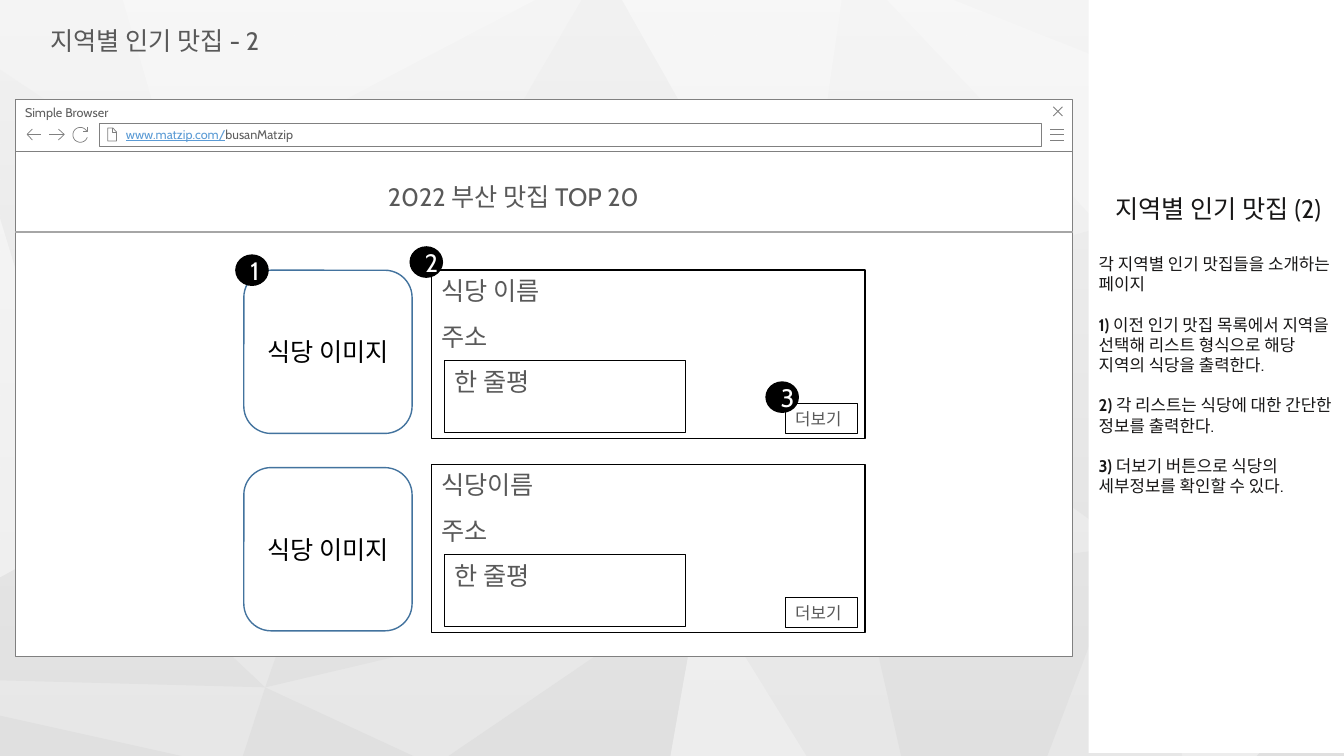
import math
from dataclasses import dataclass

from lxml import etree
from pptx import Presentation
from pptx.dml.color import RGBColor
from pptx.enum.shapes import MSO_CONNECTOR, MSO_SHAPE
from pptx.enum.text import MSO_ANCHOR, MSO_AUTO_SIZE, PP_ALIGN
from pptx.oxml.ns import qn
from pptx.util import Pt

RECTANGLE = MSO_SHAPE.RECTANGLE
ROUNDED = MSO_SHAPE.ROUNDED_RECTANGLE
OVAL = MSO_SHAPE.OVAL
STRAIGHT = MSO_CONNECTOR.STRAIGHT
TOP, MIDDLE = MSO_ANCHOR.TOP, MSO_ANCHOR.MIDDLE
LEFT, CENTER = PP_ALIGN.LEFT, PP_ALIGN.CENTER
NO_AUTOFIT = MSO_AUTO_SIZE.NONE

FONT = "Cabin"
COLORS = {
    "white": "FFFFFF", "black": "000000", "base": "E7E7E7", "light": "EDEDED",
    "dark": "E0E0E0", "frame": "808080", "divider": "A6A6A6", "image": "43739E",
    "text": "595959", "browser": "5F5F5F", "link": "5B9BD5", "panel": "181717",
}
WIDTH, HEIGHT = 960, 540
Points = list[tuple[float, float]]


@dataclass
class Box:
    left: float
    top: float
    width: float
    height: float
    text: str = ""
    size: float = 18
    color: str = "text"
    fill: str = ""
    line: str = ""
    line_width: float = 1
    align: PP_ALIGN = LEFT
    anchor: MSO_ANCHOR = TOP
    geometry: MSO_SHAPE = RECTANGLE
    left_inset: float = 7.2


@dataclass
class Facet:
    color: str
    points: Points


@dataclass
class Icon:
    strokes: list[Points]
    line_width: float = 0.5


@dataclass
class Note:
    label: str
    text: str


FACETS = [
    Facet("light", [(500.4, 417.6), (478.8, 540), (576, 540)]),
    Facet("light", [(805, 390.2), (844.6, 540), (897.8, 540), (960, 468.7), (960, 455.8)]),
    Facet("light", [(0, 155.5), (0, 412.6), (67, 375.8)]),
    Facet("light", [(633.6, 0), (787.7, 162.7), (960, 115.9), (960, 110.9), (681.1, 0)]),
    Facet("light", [(87.8, 0), (126.7, 133.9), (382.3, 0)]),
    Facet("light", [(444.2, 0), (569.5, 221), (601.2, 0)]),
    Facet("dark", [(67, 375.8), (0, 412.6), (0, 486), (189.4, 491)]),
    Facet("dark", [(189.4, 491), (173.5, 540), (295.2, 540)]),
    Facet("dark", [(960, 469.4), (897.8, 540), (960, 540)]),
    Facet("dark", [(0, 511.2), (0, 540), (129.6, 540)]),
    Facet("dark", [(805, 390.2), (615.6, 415.4), (643.7, 540), (748.1, 540)]),
    Facet("dark", [(500.4, 417.6), (320.4, 540), (478.8, 540)]),
    Facet("dark", [(960, 115.9), (569.5, 221), (805, 390.2), (960, 132.5)]),
    Facet("dark", [(500.4, 417.6), (278.6, 235.4), (189.4, 491)]),
    Facet("dark", [(0, 49.7), (0, 155.5), (67, 375.8), (126.7, 133.9)]),
    Facet("dark", [(415.4, 0), (278.6, 235.4), (569.5, 221), (444.2, 0)]),
]
RELOAD_ARC = [
    (57.4 + 5.3 * math.cos(math.radians(angle)), 96.3 + 5.3 * math.sin(math.radians(angle)))
    for angle in range(20, 331, 10)
]
ICONS = [
    Icon([[(750.2, y), (760.3, y)] for y in (92.2, 96, 100)]),
    Icon([[(758.9, 76.3), (752.4, 82.8)], [(752.4, 76.3), (758.9, 82.8)]], 0.75),
    Icon([[(80.6, 91.4), (80.6, 94.3), (83.2, 94.3)],
          [(77, 91.4), (77, 100.8), (83.2, 100.8), (83.2, 94.3), (80.6, 91.4), (77, 91.4)]]),
    Icon([[(23.2, 100), (19.4, 96), (23.2, 92.2)], [(19.4, 96), (29.5, 96)]]),
    Icon([[(41.8, 92.2), (45.9, 96), (41.8, 100)], [(45.9, 96), (35.3, 96)]]),
    Icon([[(62.6, 90.7), (62.6, 93.6), (59, 93.6)], RELOAD_ARC]),
]
NOTES = [
    Note("", "각 지역별 인기 맛집들을 소개하는 페이지"),
    Note("1) ", "이전 인기 맛집 목록에서 지역을 선택해 리스트 형식으로 해당 지역의 식당을 출력한다."),
    Note("2) ", "각 리스트는 식당에 대한 간단한 정보를 출력한다."),
    Note("3) ", "더보기 버튼으로 식당의 세부정보를 확인할 수 있다."),
]
BROWSER = [
    Box(10.8, 108, 755.3, 360.7, fill="white", line="frame", line_width=0.5),
    Box(10.8, 71.3, 755.3, 36.7, "Simple Browser", 9, "browser", "white", "frame", 0.5),
]
ADDRESS_BAR = Box(71.3, 87.8, 672.5, 16.6, fill="white", line="frame", line_width=0.5,
                  anchor=MIDDLE, left_inset=18.7)
HEADING = Box(270, 126, 236.9, 28.8, "2022 부산 맛집 TOP 20")
RESTAURANTS = ["식당 이름", "식당이름"]
BADGES = [(168.5, 182.2), (293, 176.4), (547.2, 272.9)]


def rgb(name: str) -> RGBColor:
    return RGBColor.from_string(COLORS[name])


def set_font(font, size: float, color: str) -> None:
    font.name, font.size = FONT, Pt(size)
    font.color.rgb = rgb(color)


def place(shape, left: float, top: float, width: float, height: float) -> None:
    shape.left, shape.top = Pt(left), Pt(top)
    shape.width, shape.height = Pt(width), Pt(height)
    shape.element.getparent().append(shape.element)


def draw_box(slide, box: Box):
    frame = [Pt(value) for value in (box.left, box.top, box.width, box.height)]
    shape = slide.shapes.add_shape(box.geometry, *frame)
    shape.shadow.inherit = False
    for fill, color in ((shape.fill, box.fill), (shape.line.fill, box.line)):
        if color:
            fill.solid()
            fill.fore_color.rgb = rgb(color)
        else:
            fill.background()
    if box.line:
        shape.line.width = Pt(box.line_width)
    text_frame = shape.text_frame
    text_frame.word_wrap = True
    text_frame.vertical_anchor = box.anchor
    text_frame.margin_left = Pt(box.left_inset)
    paragraph = text_frame.paragraphs[0]
    paragraph.alignment = box.align
    if box.text:
        paragraph.text = box.text
        set_font(paragraph.font, box.size, box.color)
    return shape


def draw_outline(slide, strokes: list[Points], close: bool):
    lengths = [[(Pt(x), Pt(y)) for x, y in stroke] for stroke in strokes]
    builder = slide.shapes.build_freeform(*lengths[0][0], scale=1.0)
    for index, stroke in enumerate(lengths):
        if index:
            builder.move_to(*stroke[0])
        builder.add_line_segments(stroke[1:], close=close)
    shape = builder.convert_to_shape()
    shape.shadow.inherit = False
    return shape


def draw_background(slide) -> None:
    slide.background.fill.solid()
    slide.background.fill.fore_color.rgb = rgb("base")
    for facet in FACETS:
        shape = draw_outline(slide, [facet.points], True)
        shape.fill.solid()
        shape.fill.fore_color.rgb = rgb(facet.color)
        shape.line.fill.background()
    veil = draw_box(slide, Box(0, 0, WIDTH, HEIGHT))
    veil.fill.gradient()
    veil.fill.gradient_angle = 270
    for stop, opacity in zip(veil.fill.gradient_stops, (60000, 0)):
        stop.color.rgb = rgb("white")
    for color, opacity in zip(veil.element.spPr.iter(qn("a:srgbClr")), (60000, 0)):
        etree.SubElement(color, qn("a:alpha"), val=str(opacity))


def draw_title(slide) -> None:
    title = slide.shapes.title
    place(title, 28.8, 14.4, 178.6, 28.8)
    text_frame = title.text_frame
    text_frame.text = "지역별 인기 맛집 - 2"
    text_frame.word_wrap = False
    text_frame.auto_size = NO_AUTOFIT
    text_frame.vertical_anchor = TOP
    paragraph = text_frame.paragraphs[0]
    paragraph.alignment = LEFT
    set_font(paragraph.font, 18, "text")


def draw_browser(slide) -> None:
    for box in BROWSER:
        draw_box(slide, box)
    paragraph = draw_box(slide, ADDRESS_BAR).text_frame.paragraphs[0]
    for text, color in (("www.matzip.com/", "link"), ("busanMatzip", "browser")):
        run = paragraph.add_run()
        run.text = text
        set_font(run.font, 9, color)
        run.font.underline = color == "link"
    for icon in ICONS:
        shape = draw_outline(slide, icon.strokes, False)
        shape.fill.background()
        shape.line.color.rgb = rgb("frame")
        shape.line.width = Pt(icon.line_width)


def draw_panel(slide) -> None:
    panel = slide.placeholders[1]
    place(panel, 777.6, -2.2, 185, HEIGHT)
    panel.fill.solid()
    panel.fill.fore_color.rgb = rgb("white")
    text_frame = panel.text_frame
    text_frame.word_wrap = True
    text_frame.auto_size = NO_AUTOFIT
    text_frame.vertical_anchor = MIDDLE
    text_frame.margin_bottom = Pt(46.8)
    for index, note in enumerate([Note("", "지역별 인기 맛집 (2)"), *NOTES]):
        paragraph = text_frame.add_paragraph() if index else text_frame.paragraphs[0]
        paragraph.alignment = LEFT if index else CENTER
        paragraph.space_before = Pt((0, 21.6, 14.4, 14.4, 14.4)[index])
        set_font(paragraph.font, 12 if index else 18, "panel")
        for text, bold in ((note.label, True), (note.text, False)):
            if text:
                run = paragraph.add_run()
                run.text, run.font.bold = text, bold
        properties = paragraph.font._element.getparent()
        properties.set("marL", "0")
        properties.set("indent", "0")
        properties.find(qn("a:defRPr")).addprevious(etree.Element(qn("a:buNone")))


def draw_restaurants(slide) -> None:
    for index, name in enumerate(RESTAURANTS):
        top = 193 + 138.6 * index
        for box in (
            Box(308.2, top, 309.6, 120.2, line="black"),
            Box(308.2, top, 133.2, 28.8, name),
            Box(308.2, top + 33, 133.2, 28.8, "주소"),
            Box(317.5, top + 64.8, 172.1, 51.1, "한 줄평", line="black", line_width=0.75),
            Box(560.9, top + 95.3, 51.8, 21.6, "더보기", 12, line="black", line_width=0.75),
            Box(174.2, 193 + 141 * index, 120.2, 116.6, "식당 이미지", color="black",
                line="image", align=CENTER, anchor=MIDDLE, geometry=ROUNDED),
        ):
            draw_box(slide, box)
    for number, (left, top) in enumerate(BADGES, 1):
        draw_box(slide, Box(left, top, 23, 21.6, str(number), 18, "white", "black", "black",
                            align=CENTER, anchor=MIDDLE, geometry=OVAL))


def draw_divider(slide) -> None:
    ends = [Pt(value) for value in (10.8, 165.6, 766.1, 165.6)]
    divider = slide.shapes.add_connector(STRAIGHT, *ends)
    divider.line.color.rgb = rgb("divider")
    divider.line.width = Pt(1.5)
    etree.SubElement(divider.element.spPr, qn("a:effectLst"))


def main() -> None:
    presentation = Presentation()
    presentation.slide_width, presentation.slide_height = Pt(WIDTH), Pt(HEIGHT)
    slide = presentation.slides.add_slide(presentation.slide_layouts[1])
    draw_background(slide)
    draw_title(slide)
    draw_browser(slide)
    draw_panel(slide)
    draw_box(slide, HEADING)
    draw_restaurants(slide)
    draw_divider(slide)
    presentation.save("out.pptx")


if __name__ == "__main__":
    main()
